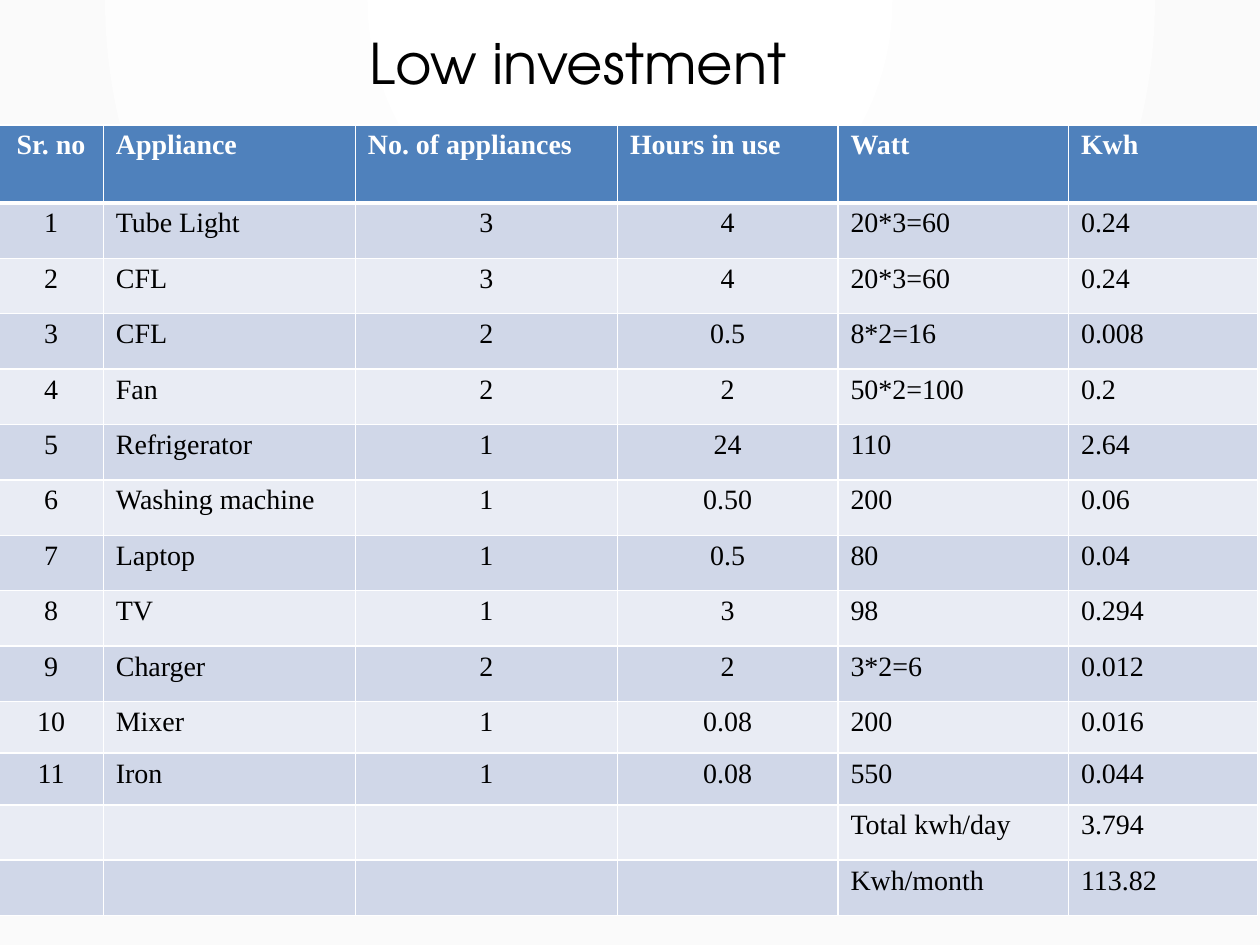
from lxml import etree
from pptx import Presentation
from pptx.dml.color import RGBColor
from pptx.enum.text import MSO_ANCHOR, MSO_AUTO_SIZE, PP_ALIGN
from pptx.oxml.ns import qn
from pptx.util import Inches, Pt

LEFT, MID = PP_ALIGN.LEFT, PP_ALIGN.CENTER
TOP, GROW = MSO_ANCHOR.TOP, MSO_AUTO_SIZE.SHAPE_TO_FIT_TEXT
BLACK, WHITE = RGBColor(0, 0, 0), RGBColor(255, 255, 255)
PALE = RGBColor(0xFA, 0xFA, 0xFA)
BLUE = RGBColor(0x4F, 0x81, 0xBC)
BANDS = RGBColor(0xD0, 0xD7, 0xE8), RGBColor(0xE9, 0xEC, 0xF4)
SANS, SERIF = "TeX Gyre Adventor", "Times New Roman"

# Content
TITLE = "Low investment"
HEAD = ["Sr. no", "Appliance", "No. of appliances", "Hours in use", "Watt", "Kwh"]
LOADS = [
    ("Tube Light", "3", "4", "20*3=60", "0.24"),
    ("CFL", "3", "4", "20*3=60", "0.24"),
    ("CFL", "2", "0.5", "8*2=16", "0.008"),
    ("Fan", "2", "2", "50*2=100", "0.2"),
    ("Refrigerator", "1", "24", "110", "2.64"),
    ("Washing machine", "1", "0.50", "200", "0.06"),
    ("Laptop", "1", "0.5", "80", "0.04"),
    ("TV", "1", "3", "98", "0.294"),
    ("Charger", "2", "2", "3*2=6", "0.012"),
    ("Mixer", "1", "0.08", "200", "0.016"),
    ("Iron", "1", "0.08", "550", "0.044"),
]
TOTALS = [("Total kwh/day", "3.794"), ("Kwh/month", "113.82")]
ROWS = [HEAD]
ROWS += [(str(n), *load) for n, load in enumerate(LOADS, 1)]
ROWS += [("",) * 4 + total for total in TOTALS]

WIDTHS = [0.83, 2, 2.08, 1.75, 1.83, 1.5]
HEIGHTS = [0.62] + [0.44] * 9 + [0.41] * 2 + [0.44] * 2
CENTRED = {0, 2, 3}


def write(frame, text, size=16, font=SERIF, color=BLACK, bold=False,
          align=LEFT, indent=0.0, before=3.1):
    par = frame.paragraphs[0]
    par.alignment, par.space_before = align, Pt(before)
    props = par._p.get_or_add_pPr()
    props.set("marL", str(Inches(indent)))
    props.set("indent", "0")
    run = par.add_run()
    run.text = text
    run.font.size, run.font.name, run.font.bold = Pt(size), font, bold
    run.font.color.rgb = color


def edge(cell, sides):
    """Put white borders, given as side and width in points, before the fill."""
    props = cell._tc.get_or_add_tcPr()
    for spot, (side, width) in enumerate(sides):
        line = etree.Element(qn("a:ln" + side), w=str(Pt(width)))
        fill = etree.SubElement(line, qn("a:solidFill"))
        etree.SubElement(fill, qn("a:srgbClr"), val=str(WHITE))
        props.insert(spot, line)


deck = Presentation()
deck.slide_width, deck.slide_height = Inches(10), Inches(7.5)
slide = deck.slides.add_slide(deck.slide_layouts[5])

# Radial background
back = slide.background.fill
back.gradient()
for stop, color, place in zip(back.gradient_stops, (WHITE, PALE), (0, 1)):
    stop.color.rgb, stop.position = color, place
grad = slide._element.find(".//" + qn("a:gradFill"))
grad.remove(grad.find(qn("a:lin")))
round_ = etree.SubElement(grad, qn("a:path"), {"path": "circle"})
etree.SubElement(round_, qn("a:fillToRect"), l="43000", t="0", r="43000", b="100000")

# Title
title = slide.shapes.title
title.left, title.top = Inches(2.92), Inches(0.22)
title.width, title.height = Inches(3.99), Inches(0.76)
frame = title.text_frame
frame.margin_left = frame.margin_right = frame.margin_bottom = 0
frame.margin_top = Inches(0.01)
frame.vertical_anchor, frame.auto_size, frame.word_wrap = TOP, GROW, True
write(frame, TITLE, size=32, font=SANS, indent=0.01, before=1)

# Table
grid = slide.shapes.add_table(
    len(ROWS), len(HEAD), Inches(-0.01), Inches(0.99),
    Inches(sum(WIDTHS)), Inches(sum(HEIGHTS))).table
for col, width in zip(grid.columns, WIDTHS):
    col.width = Inches(width)
for row, height in zip(grid.rows, HEIGHTS):
    row.height = Inches(height)

for r, row in enumerate(ROWS):
    top, low = (3 if r == 1 else 1), (3 if r == 0 else 1)
    for c, text in enumerate(row):
        cell = grid.cell(r, c)
        cell.margin_left = cell.margin_right = cell.margin_bottom = 0
        cell.margin_top = Inches(0.04)
        cell.fill.solid()
        cell.fill.fore_color.rgb = BANDS[(r - 1) % 2] if r else BLUE
        edge(cell, [("L", 1), ("R", 1), ("T", top), ("B", low)])
        if text:
            mid = c == 0 or (r > 0 and c in CENTRED)
            write(cell.text_frame, text, bold=r == 0,
                  color=BLACK if r else WHITE,
                  align=MID if mid else LEFT, indent=0 if mid else 0.1)

deck.save("out.pptx")
